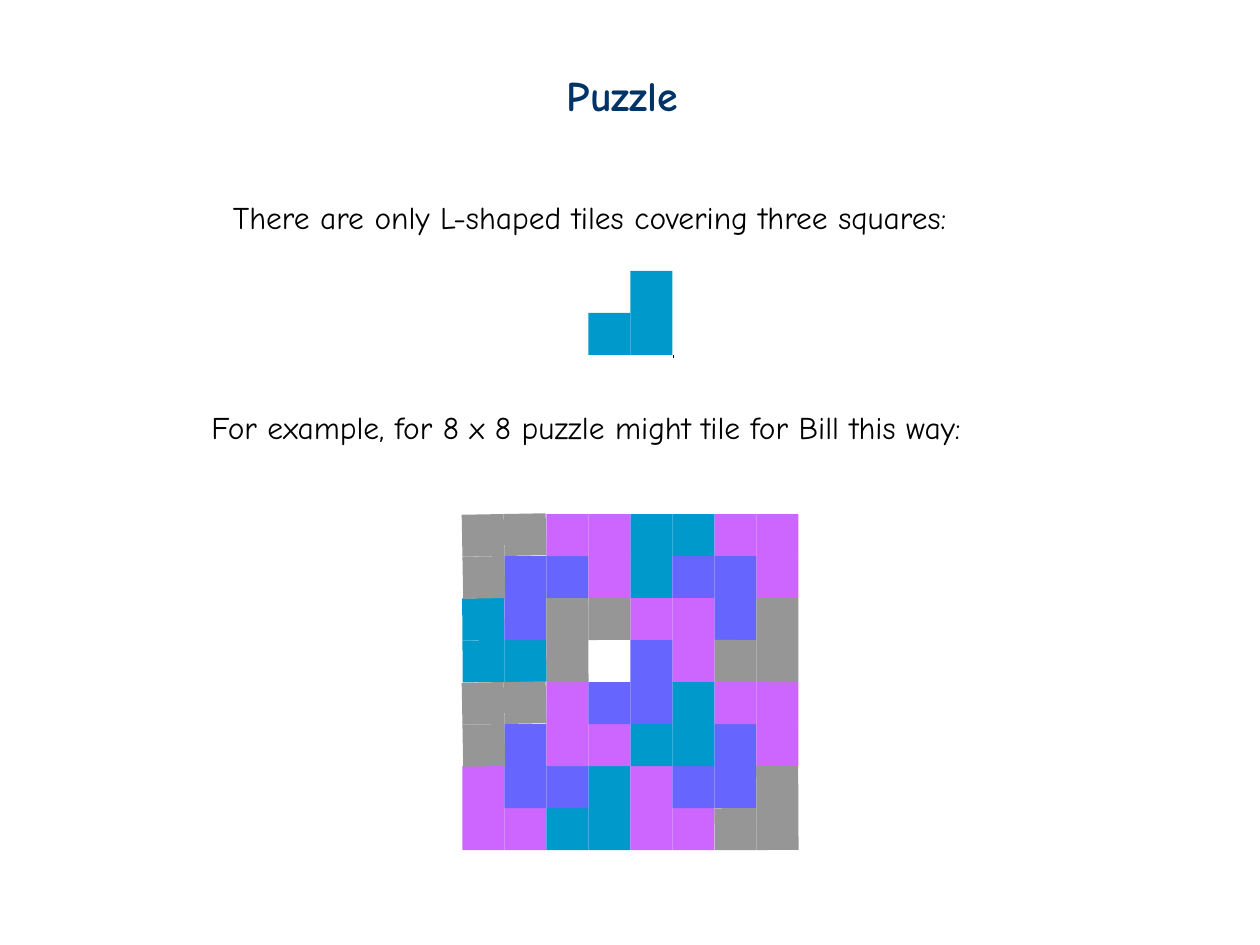
from lxml.etree import SubElement
from pptx import Presentation
from pptx.dml.color import RGBColor
from pptx.enum.shapes import MSO_CONNECTOR as Connector, MSO_SHAPE as Shape
from pptx.enum.text import MSO_AUTO_SIZE as AutoSize
from pptx.oxml.ns import qn
from pptx.util import Inches, Pt

CELL = 1 / 3
BOARD_LEFT, BOARD_TOP = 3.67, 4.08
PINK, TEAL, BLUE, GRAY = "CC66FF", "0099CC", "6666FF", "969696"

# Corner of a 2 x 2 block that a tile leaves open, as (column, row)
TOP_LEFT, TOP_RIGHT, BOTTOM_LEFT, BOTTOM_RIGHT = (0, 0), (1, 0), (0, 1), (1, 1)

# Column and row of the block, open corner, colour, tilt in degrees
BOARD_TILES = [
    (0, 6, TOP_RIGHT, PINK, 0),
    (2, 6, TOP_LEFT, TEAL, 0),
    (1, 5, TOP_RIGHT, BLUE, 0),
    (4, 6, TOP_RIGHT, PINK, 0),
    (5, 5, TOP_LEFT, BLUE, 0),
    (0, 2, TOP_RIGHT, TEAL, -0.4),
    (1, 1, BOTTOM_RIGHT, BLUE, 0),
    (0, 0, BOTTOM_RIGHT, GRAY, -1),
    (6, 0, BOTTOM_LEFT, PINK, 0),
    (4, 0, BOTTOM_RIGHT, TEAL, 0),
    (5, 1, BOTTOM_LEFT, BLUE, 0),
    (6, 4, BOTTOM_LEFT, PINK, 0),
    (6, 2, TOP_LEFT, GRAY, 0.1),
    (6, 6, TOP_LEFT, GRAY, -0.3),
    (4, 2, BOTTOM_LEFT, PINK, 0),
    (4, 4, TOP_LEFT, TEAL, 0),
    (2, 4, TOP_RIGHT, PINK, 0),
    (0, 4, BOTTOM_RIGHT, GRAY, -1),
    (2, 2, BOTTOM_RIGHT, GRAY, -0.2),
    (2, 0, BOTTOM_LEFT, PINK, 0),
    (3, 3, TOP_LEFT, BLUE, 0),
]


def color(hex_code):
    return RGBColor.from_string(hex_code)


class SlideBuilder:
    font_name = "Comic Neue"

    def __init__(self, slide):
        self.slide = slide

    def text(self, text, left, top, width, height, size=18, hex_code="000000", bold=False):
        box = self.slide.shapes.add_textbox(
            Inches(left), Inches(top), Inches(width), Inches(height))
        frame = box.text_frame
        frame.word_wrap = True
        frame.auto_size = AutoSize.SHAPE_TO_FIT_TEXT
        paragraph = frame.paragraphs[0]
        run = paragraph.add_run()
        run.text = text
        run.font.name = self.font_name
        run.font.size = Pt(size)
        run.font.bold = bold
        run.font.color.rgb = color(hex_code)

    def tile(self, left, top, open_corner, hex_code, tilt=0):
        """Group three squares of a 2 x 2 block into one L-shaped tile."""
        group = self.slide.shapes.add_group_shape()
        for column, row in (TOP_LEFT, TOP_RIGHT, BOTTOM_LEFT, BOTTOM_RIGHT):
            if (column, row) == open_corner:
                continue
            square = group.shapes.add_shape(
                Shape.RECTANGLE, Inches(left + column * CELL), Inches(top + row * CELL),
                Inches(CELL), Inches(CELL))
            square.shadow.inherit = False
            square.fill.solid()
            square.fill.fore_color.rgb = color(hex_code)
            square.line.fill.background()
        group.rotation = tilt

    def line(self, x1, y1, x2, y2, hex_code="000000", width=1.5):
        connector = self.slide.shapes.add_connector(
            Connector.STRAIGHT, Inches(x1), Inches(y1), Inches(x2), Inches(y2))
        connector.line.color.rgb = color(hex_code)
        connector.line.width = Pt(width)
        SubElement(connector._element.spPr, qn("a:effectLst"))


def main():
    presentation = Presentation()
    presentation.slide_width, presentation.slide_height = Inches(10), Inches(7.5)
    builder = SlideBuilder(presentation.slides.add_slide(presentation.slide_layouts[6]))

    builder.text("There are only L-shaped tiles covering three squares:", 1.75, 1.52, 6.44, 0.4)
    builder.tile(4.67, 2.15, TOP_LEFT, TEAL)
    builder.line(5.35, 2.83, 5.34, 2.83)

    builder.text("For example, for 8 x 8 puzzle might tile for Bill this way:",
                 1.58, 3.19, 6.83, 0.4)
    for column, row, open_corner, hex_code, tilt in BOARD_TILES:
        builder.tile(BOARD_LEFT + column * CELL, BOARD_TOP + row * CELL,
                     open_corner, hex_code, tilt)

    builder.text("Puzzle", 4.4, 0.5, 1.19, 0.5, size=24, hex_code="003366", bold=True)
    presentation.save("out.pptx")


if __name__ == "__main__":
    main()
